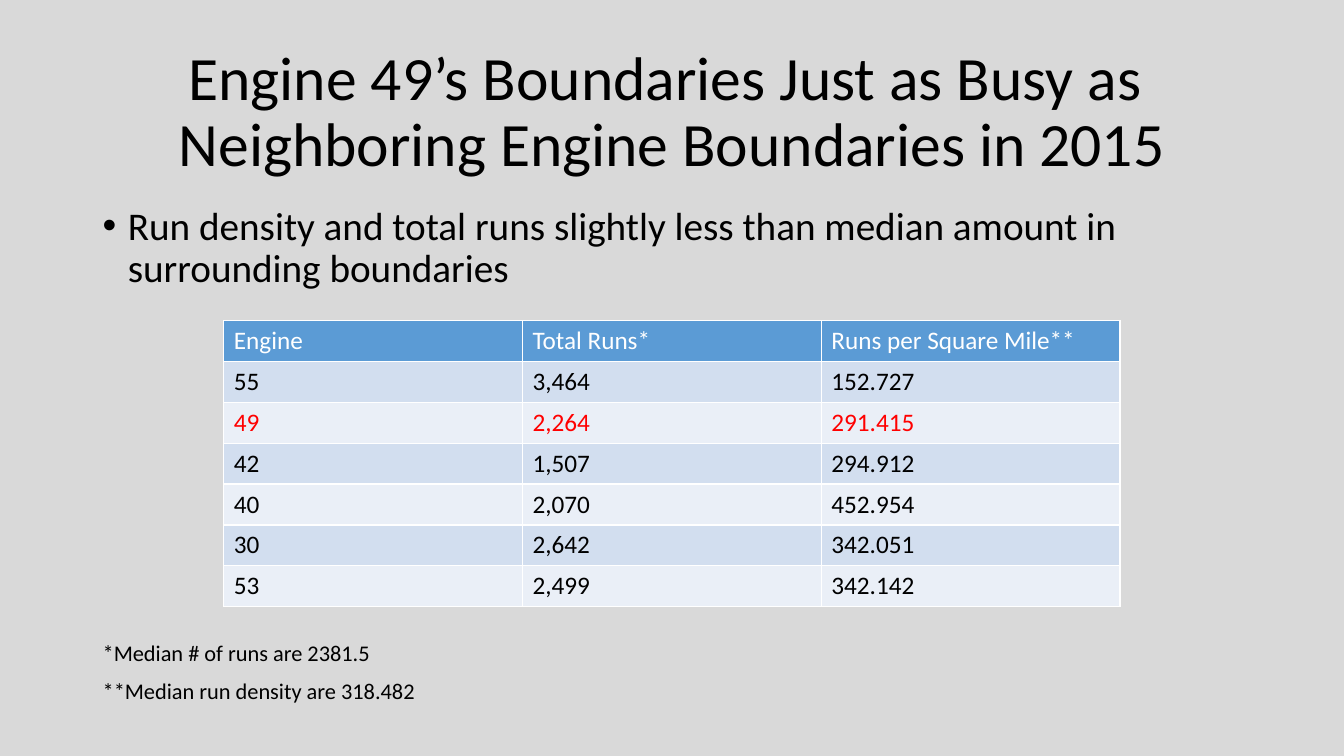
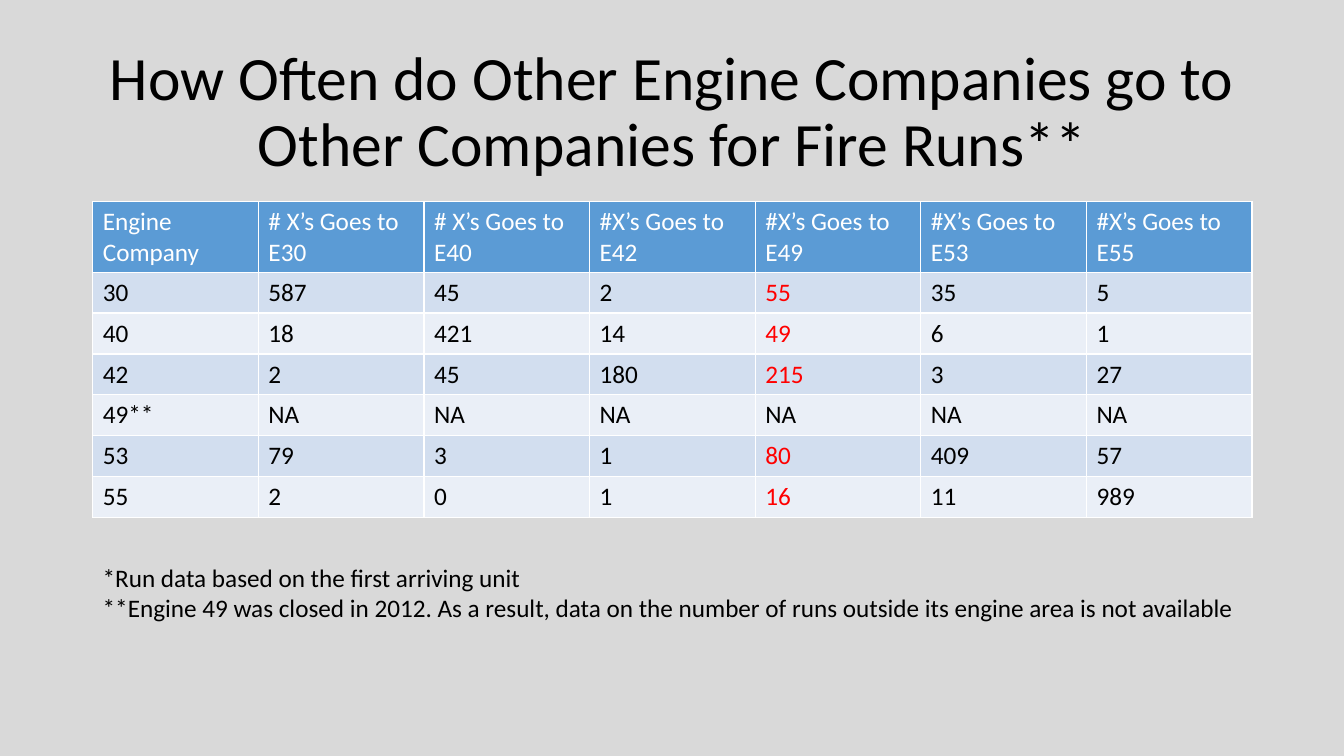
from pptx import Presentation
from pptx import util as u
from pptx.dml.color import RGBColor
from pptx.enum import text
from pptx.oxml.ns import qn
from lxml import etree

BLACK = RGBColor(0x00, 0x00, 0x00)
WHITE = RGBColor(0xFF, 0xFF, 0xFF)
RED = RGBColor(0xFF, 0x00, 0x00)
GRAY = RGBColor(0xD9, 0xD9, 0xD9)
BLUE = RGBColor(0x5B, 0x9B, 0xD5)
BANDS = RGBColor(0xD2, 0xDE, 0xEF), RGBColor(0xEA, 0xEF, 0xF7)
FONT = "Calibri"
LEFT, WIDTH = 0.92, 11.5
ROW_HEIGHT = 2.84 / 7


def write(p, words, size=18, color=BLACK, align=None, spacing=None, before=None):
    """Fill a paragraph with formatted text; a vertical tab breaks the line."""
    p.text = words
    p.alignment, p.line_spacing = align, spacing
    if before is not None:
        p.space_before = u.Pt(before)
    for r in p.runs:
        r.font.name, r.font.size, r.font.bold = FONT, u.Pt(size), False
        r.font.color.rgb = color


class Deck:
    def __init__(self):
        self.prs = Presentation()
        self.prs.slide_width, self.prs.slide_height = u.Inches(13.33), u.Inches(7.5)
        self.s = None

    def slide(self, title):
        self.s = self.prs.slides.add_slide(self.prs.slide_layouts[6])
        fill = self.s.background.fill
        fill.solid()
        fill.fore_color.rgb = GRAY
        tf = self.text([title], 0.4, 1.45, size=44, spacing=0.9,
                       align=text.PP_ALIGN.CENTER)
        tf.vertical_anchor = text.MSO_ANCHOR.MIDDLE

    def text(self, lines, top, height, **style):
        sp = self.s.shapes.add_textbox(*map(u.Inches, (LEFT, top, WIDTH, height)))
        tf = sp.text_frame
        tf.word_wrap = True
        for i, line in enumerate(lines):
            write(tf.add_paragraph() if i else tf.paragraphs[0], line, **style)
        return tf

    def bullets(self, lines, top, height, **style):
        indent = u.Inches(0.25)
        for p in self.text(lines, top, height, **style).paragraphs:
            pPr = p._p.get_or_add_pPr()
            pPr.set("marL", str(indent))
            pPr.set("indent", str(-indent))
            etree.SubElement(pPr, qn("a:buFont"), typeface="Arial")
            etree.SubElement(pPr, qn("a:buChar"), char="•")

    def table(self, rows, left, top, width, is_red, header_height=ROW_HEIGHT):
        n_rows, n_cols = len(rows), len(rows[0])
        height = header_height + ROW_HEIGHT * (n_rows - 1)
        frame = self.s.shapes.add_table(
            n_rows, n_cols, *map(u.Inches, (left, top, width, height)))
        table = frame.table
        table.first_row = table.horz_banding = False
        for col in table.columns:
            col.width = u.Inches(width / n_cols)
        for i, values in enumerate(rows):
            table.rows[i].height = u.Inches(ROW_HEIGHT if i else header_height)
            for j, value in enumerate(values):
                cell = table.cell(i, j)
                color = WHITE if i == 0 else RED if is_red(i, j) else BLACK
                write(cell.text_frame.paragraphs[0], value, color=color)
                self.border(cell)
                cell.fill.solid()
                cell.fill.fore_color.rgb = BANDS[(i - 1) % 2] if i else BLUE

    @staticmethod
    def border(cell):
        tcPr = cell._tc.get_or_add_tcPr()
        for side in "LRTB":
            ln = etree.SubElement(tcPr, qn(f"a:ln{side}"), w=str(u.Pt(1)))
            fill = etree.SubElement(ln, qn("a:solidFill"))
            etree.SubElement(fill, qn("a:srgbClr"), val=str(WHITE))


def main():
    deck = Deck()

    # Run density by engine
    deck.slide("Engine 49’s Boundaries Just as Busy as \v"
               "Neighboring Engine Boundaries in 2015")
    deck.bullets(["Run density and total runs slightly less than median amount in "
                  "surrounding boundaries"], 2, 1, size=28, spacing=0.9)
    densities = [
        ("Engine", "Total Runs*", "Runs per Square Mile**"),
        ("55", "3,464", "152.727"),
        ("49", "2,264", "291.415"),
        ("42", "1,507", "294.912"),
        ("40", "2,070", "452.954"),
        ("30", "2,642", "342.051"),
        ("53", "2,499", "342.142"),
    ]
    deck.table(densities, 2.22, 3.18, 8.89, lambda i, j: densities[i][0] == "49")
    deck.text(["*Median # of runs are 2381.5", "**Median run density are 318.482"],
              6.32, 0.8, size=16, spacing=0.9, before=10)

    # Runs into other companies' areas
    deck.slide("How Often do Other Engine Companies go to "
               "Other Companies for Fire Runs**")
    visits = [
        ("Engine Company", "# X’s Goes to E30", "# X’s Goes to E40",
         "#X’s Goes to E42", "#X’s Goes to E49", "#X’s Goes to E53",
         "#X’s Goes to E55"),
        ("30", "587", "45", "2", "55", "35", "5"),
        ("40", "18", "421", "14", "49", "6", "1"),
        ("42", "2", "45", "180", "215", "3", "27"),
        ("49**",) + ("NA",) * 6,
        ("53", "79", "3", "1", "80", "409", "57"),
        ("55", "2", "0", "1", "16", "11", "989"),
    ]
    deck.table(visits, LEFT, 2, WIDTH,
               lambda i, j: j == 4 and visits[i][j] != "NA", header_height=0.7)
    deck.text(["*Run data based on the first arriving unit",
               "**Engine 49 was closed in 2012. As a result, data on the number of "
               "runs outside its engine area is not available"], 5.53, 1.01)

    deck.prs.save("out.pptx")


if __name__ == "__main__":
    main()
